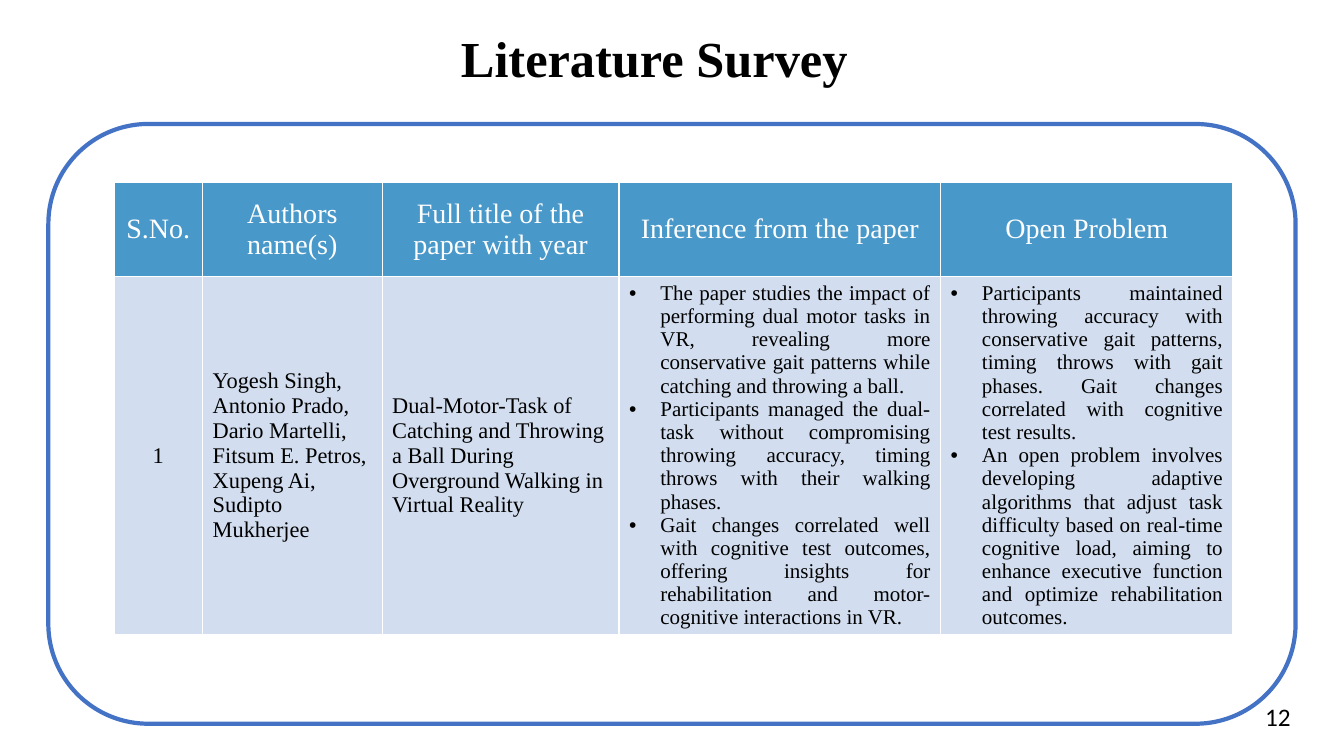
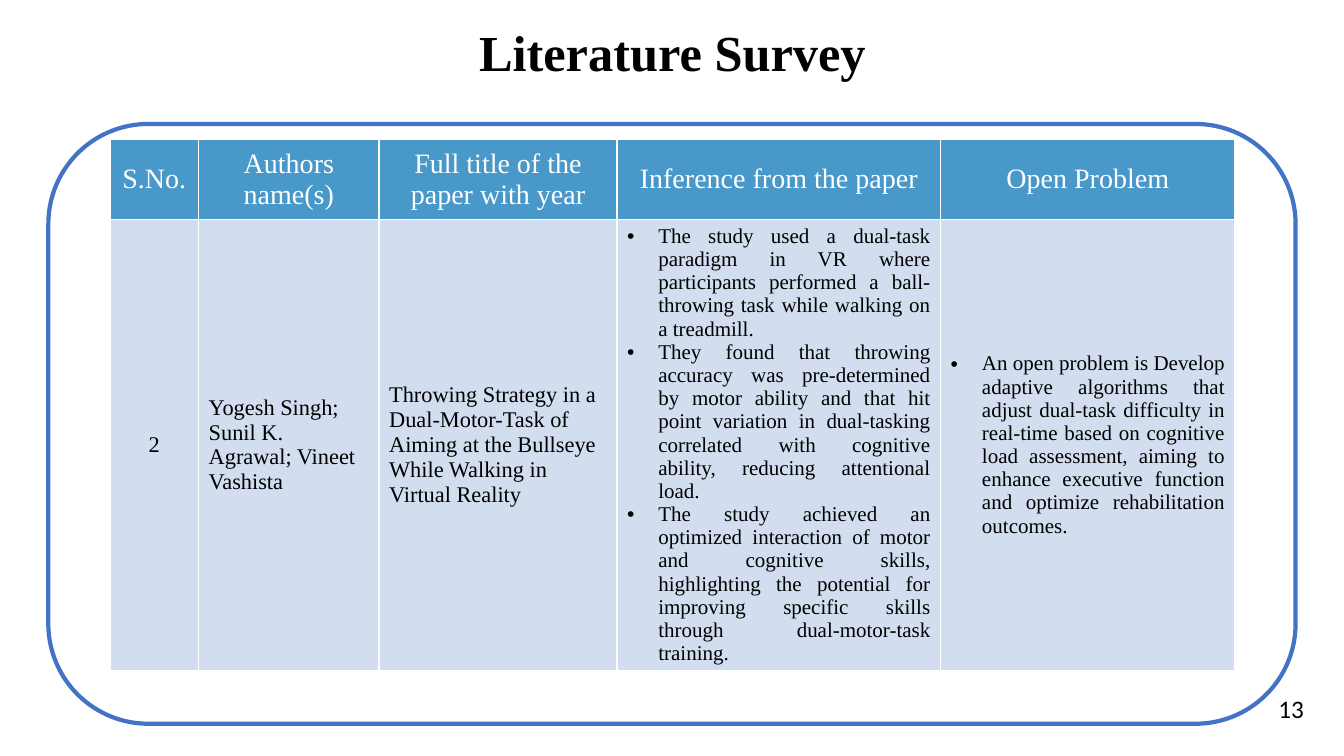
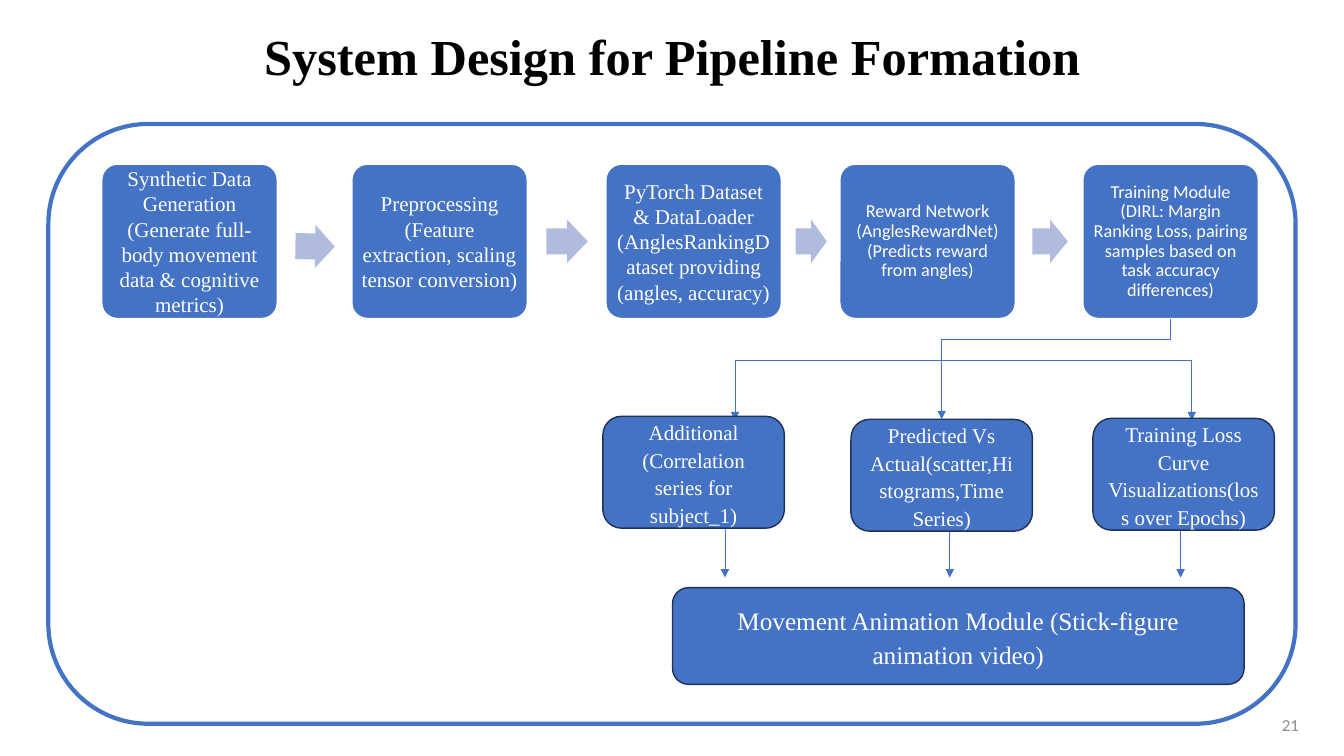
from lxml import etree
from pptx import Presentation
from pptx import util as u
from pptx.dml.color import RGBColor
from pptx.enum import shapes, text
from pptx.oxml.ns import qn

Inches, Pt = u.Inches, u.Pt
ALIGN, ANCHOR = text.PP_ALIGN, text.MSO_ANCHOR
SHAPE, LINE = shapes.MSO_SHAPE, shapes.MSO_CONNECTOR

BLUE = RGBColor(0x44, 0x72, 0xC4)
NAVY = RGBColor(0x1E, 0x32, 0x56)
PALE_ARROW = RGBColor(0xB0, 0xBC, 0xDE)
HEADER = RGBColor(0x48, 0x98, 0xCA)
BODY = RGBColor(0xD2, 0xDE, 0xEF)
GREY = RGBColor(0x8C, 0x8C, 0x8C)
BLACK = RGBColor(0, 0, 0)
WHITE = RGBColor(0xFF, 0xFF, 0xFF)
SERIF, SANS = "Times New Roman", "Calibri"


class Deck:
    """Holds the shared style and the current slide."""

    def __init__(self):
        self.prs = Presentation()
        self.prs.slide_width, self.prs.slide_height = Inches(13.33), Inches(7.5)
        self.s = None

    def slide(self, title, box, anchor=ANCHOR.BOTTOM):
        self.s = self.prs.slides.add_slide(self.prs.slide_layouts[5])
        self.shape(SHAPE.ROUNDED_RECTANGLE, (0.48, 1.23, 12.37, 5.95), line=BLUE, weight=3)
        sp = self.s.shapes.title
        sp.left, sp.top, sp.width, sp.height = map(Inches, box)
        tf = sp.text_frame
        tf.auto_size, tf.word_wrap = text.MSO_AUTO_SIZE.NONE, True
        tf.vertical_anchor = anchor
        self.run(tf.paragraphs[0], title, 36, BLACK, spacing=0.9, bold=True)

    def run(self, p, words, size, color, font=SERIF, align=ALIGN.CENTER, spacing=None, bold=False):
        p.alignment = align
        if spacing:
            p.line_spacing = spacing
        r = p.add_run()
        r.text = words
        r.font.name, r.font.size, r.font.bold = font, Pt(size), bold
        r.font.color.rgb = color

    def number(self, words, box, size=18, color=BLACK):
        tf = self.s.shapes.add_textbox(*map(Inches, box)).text_frame
        tf.word_wrap, tf.vertical_anchor = True, ANCHOR.MIDDLE
        self.run(tf.paragraphs[0], words, size, color, SANS, ALIGN.RIGHT)

    def shape(self, kind, box, fill=None, line=None, weight=1, adj=()):
        sp = self.s.shapes.add_shape(kind, *map(Inches, box))
        sp.shadow.inherit = False
        for i, value in enumerate(adj):
            sp.adjustments[i] = value
        for part, color in ((sp.fill, fill), (sp.line.fill, line)):
            if color is None:
                part.background()
            else:
                part.solid()
                part.fore_color.rgb = color
        if line is not None:
            sp.line.width = Pt(weight)
        return sp

    def box(self, words, place, line=NAVY, size=15, font=SERIF, spacing=1.1, adj=(), inset=0.1):
        sp = self.shape(SHAPE.ROUNDED_RECTANGLE, place, BLUE, line, adj=adj)
        tf = sp.text_frame
        tf.word_wrap, tf.vertical_anchor = True, ANCHOR.MIDDLE
        tf.margin_left = tf.margin_right = Inches(inset)
        tf.margin_top = tf.margin_bottom = Inches(0.05)
        self.run(tf.paragraphs[0], words, size, WHITE, font, spacing=spacing)
        return sp

    def line(self, x1, y1, x2, y2, arrow=False, kind=LINE.STRAIGHT):
        c = self.s.shapes.add_connector(kind, *map(Inches, (x1, y1, x2, y2)))
        c.line.color.rgb, c.line.width = BLUE, Pt(0.5)
        spPr = c.element.spPr
        if arrow:
            etree.SubElement(spPr.find(qn("a:ln")), qn("a:tailEnd"), type="triangle")
        etree.SubElement(spPr, qn("a:effectLst"))
        return c

    def elbow(self, x1, y1, x2, y2):
        """Elbow that turns at its start: first up, then across."""
        c = self.line(x1, y1, x2, y2, kind=LINE.ELBOW)
        guides = c.element.spPr.find(qn("a:prstGeom")).get_or_add_avLst()
        etree.SubElement(guides, qn("a:gd"), name="adj1", fmla="val 0")

    def cell(self, cell, paragraphs, size, color, fill, align, bullets=False):
        cell.vertical_anchor = ANCHOR.MIDDLE
        tf = cell.text_frame
        for i, words in enumerate(paragraphs):
            p = tf.add_paragraph() if i else tf.paragraphs[0]
            self.run(p, words, size, color, align=align)
            if bullets:
                pPr = p._p.get_or_add_pPr()
                pPr.set("marL", str(Inches(0.31)))
                pPr.set("indent", str(-Inches(0.31)))
                etree.SubElement(pPr, qn("a:buFont"), typeface="Arial")
                etree.SubElement(pPr, qn("a:buChar"), char="•")
        tcPr = cell._tc.get_or_add_tcPr()
        for side in ("lnL", "lnR", "lnT", "lnB"):
            ln = etree.SubElement(tcPr, qn("a:" + side), w=str(Pt(1)))
            color_fill = etree.SubElement(ln, qn("a:solidFill"))
            etree.SubElement(color_fill, qn("a:srgbClr"), val=str(WHITE))
        cell.fill.solid()
        cell.fill.fore_color.rgb = fill

    def survey(self, left, top, cols, rows, entry):
        frame = self.s.shapes.add_table(2, len(cols), *map(Inches, (left, top, sum(cols), sum(rows))))
        table = frame.table
        for col, width in zip(table.columns, cols):
            col.width = Inches(width)
        for row, height in zip(table.rows, rows):
            row.height = Inches(height)
        aligns = (ALIGN.CENTER, ALIGN.LEFT, ALIGN.LEFT, ALIGN.JUSTIFY, ALIGN.JUSTIFY)
        for i, (head, paragraphs, align) in enumerate(zip(HEADINGS, entry, aligns)):
            bullets = align == ALIGN.JUSTIFY
            self.cell(table.cell(0, i), [head], 20, WHITE, HEADER, ALIGN.CENTER)
            self.cell(table.cell(1, i), paragraphs, 15 if bullets else 16, BLACK, BODY, align, bullets)


HEADINGS = ("S.No.", "Authors name(s)", "Full title of the paper with year",
            "Inference from the paper", "Open Problem")

PAPER_1 = (
    ["1"],
    ["Yogesh Singh, Antonio Prado, Dario Martelli, Fitsum E. Petros, Xupeng Ai,",
     "Sudipto Mukherjee"],
    ["Dual-Motor-Task of Catching and Throwing a Ball During Overground Walking in Virtual Reality"],
    ["The paper studies the impact of performing dual motor tasks in VR, revealing more "
     "conservative gait patterns while catching and throwing a ball.",
     "Participants managed the dual-task without compromising throwing accuracy, timing "
     "throws with their walking phases.",
     "Gait changes correlated well with cognitive test outcomes, offering insights for "
     "rehabilitation and motor-cognitive interactions in VR."],
    ["Participants maintained throwing accuracy with conservative gait patterns, timing "
     "throws with gait phases. Gait changes correlated with cognitive test results.",
     "An open problem involves developing adaptive algorithms that adjust task difficulty "
     "based on real-time cognitive load, aiming to enhance executive function and optimize "
     "rehabilitation outcomes."],
)

PAPER_2 = (
    ["2"],
    ["Yogesh Singh; Sunil K. Agrawal; Vineet Vashista"],
    ["Throwing Strategy in a Dual-Motor-Task of Aiming at the Bullseye While Walking in Virtual Reality"],
    ["The study used a dual-task paradigm in VR where participants performed a ball-throwing "
     "task while walking on a treadmill.",
     "They found that throwing accuracy was pre-determined by motor ability and that hit point "
     "variation in dual-tasking correlated with cognitive ability, reducing attentional load.",
     "The study achieved an optimized interaction of motor and cognitive skills, highlighting "
     "the potential for improving specific skills through dual-motor-task training."],
    ["An open problem is Develop adaptive algorithms that adjust dual-task difficulty in "
     "real-time based on cognitive load assessment, aiming to enhance executive function and "
     "optimize rehabilitation outcomes."],
)

# Pipeline steps: left, font, size, line spacing, words
STEPS = (
    (1.01, SERIF, 15, 1.0, "Synthetic Data Generation (Generate full-body movement data & cognitive metrics)"),
    (3.49, SERIF, 15, 1.0, "Preprocessing (Feature extraction, scaling tensor conversion)"),
    (6.01, SERIF, 15, 1.0, "PyTorch Dataset & DataLoader (AnglesRankingDataset providing (angles, accuracy)"),
    (8.33, SANS, 13, 0.9, "Reward Network (AnglesRewardNet) (Predicts reward from angles)"),
    (10.74, SANS, 13, 0.9, "Training Module (DIRL: Margin Ranking Loss, pairing samples based on "
                           "task accuracy differences)"),
)
# Arrows between steps: left, top, width, rotation
STEP_ARROWS = ((2.93, 2.23, 0.39, 0.8), (5.42, 2.18, 0.41, 0), (7.89, 2.18, 0.31, 0), (10.24, 2.18, 0.35, 0))
# Results: left, top, arrow in, arrow out, words
RESULTS = (
    (5.98, 4.13, 7.29, 7.19, "Additional (Correlation series for subject_1)"),
    (8.44, 4.16, 9.34, 9.42, "Predicted Vs Actual(scatter,Histograms,Time Series)"),
    (10.84, 4.15, 11.82, 11.71, "Training Loss Curve Visualizations(loss over Epochs)"),
)


def pipeline(d):
    d.slide("System Design for Pipeline Formation", (0.92, 0.16, 11.5, 0.85), ANCHOR.MIDDLE)
    d.number("21", (9.98, 6.99, 3, 0.4), 12, GREY)

    # Row of steps
    for left, font, size, spacing, words in STEPS:
        step = d.box(words, (left, 1.63, 1.74, 1.53), WHITE, size, font, spacing, (0.1,), 0.05)
    for left, top, width, turn in STEP_ARROWS:
        sp = d.shape(SHAPE.RIGHT_ARROW, (left, top, width, 0.43), PALE_ARROW, adj=(0.6, 0.5))
        sp.rotation = turn

    # Branch from the last step to the results
    d.line(11.61, 3.16, 11.61, 3.37).begin_connect(step, 2)
    d.elbow(9.34, 3.6, 11.61, 3.37)
    d.line(7.29, 3.58, 11.82, 3.58)
    for left, top, x_in, x_out, words in RESULTS:
        d.line(x_out, 5.14, x_out, 5.73, arrow=True)
        arrow = d.line(x_in, 3.58, x_in, 4.17, arrow=True)
        result = d.box(words, (left, top, 1.8, 1.11))
        if abs(left + 0.9 - x_in) < 0.01:
            arrow.end_connect(result, 0)

    # Final module
    d.box("Movement Animation Module (Stick-figure animation video)", (6.67, 5.83, 5.67, 0.96),
          size=18, inset=0.3)


def main():
    d = Deck()

    # Literature survey
    d.slide("Literature Survey", (0.74, 0.21, 11.5, 0.72))
    d.survey(1.13, 1.81, (0.88, 1.78, 2.35, 3.19, 2.9), (0.93, 3.56), PAPER_1)
    d.number("12", (12.42, 6.91, 0.48, 0.4))

    d.slide("Literature Survey", (0.92, 0.15, 11.5, 0.72))
    d.survey(1.09, 1.38, (0.88, 1.79, 2.36, 3.21, 2.92), (0.8, 4.18), PAPER_2)
    d.number("13", (12.55, 6.83, 0.48, 0.4))

    # System design
    pipeline(d)
    d.prs.save("out.pptx")


if __name__ == "__main__":
    main()
